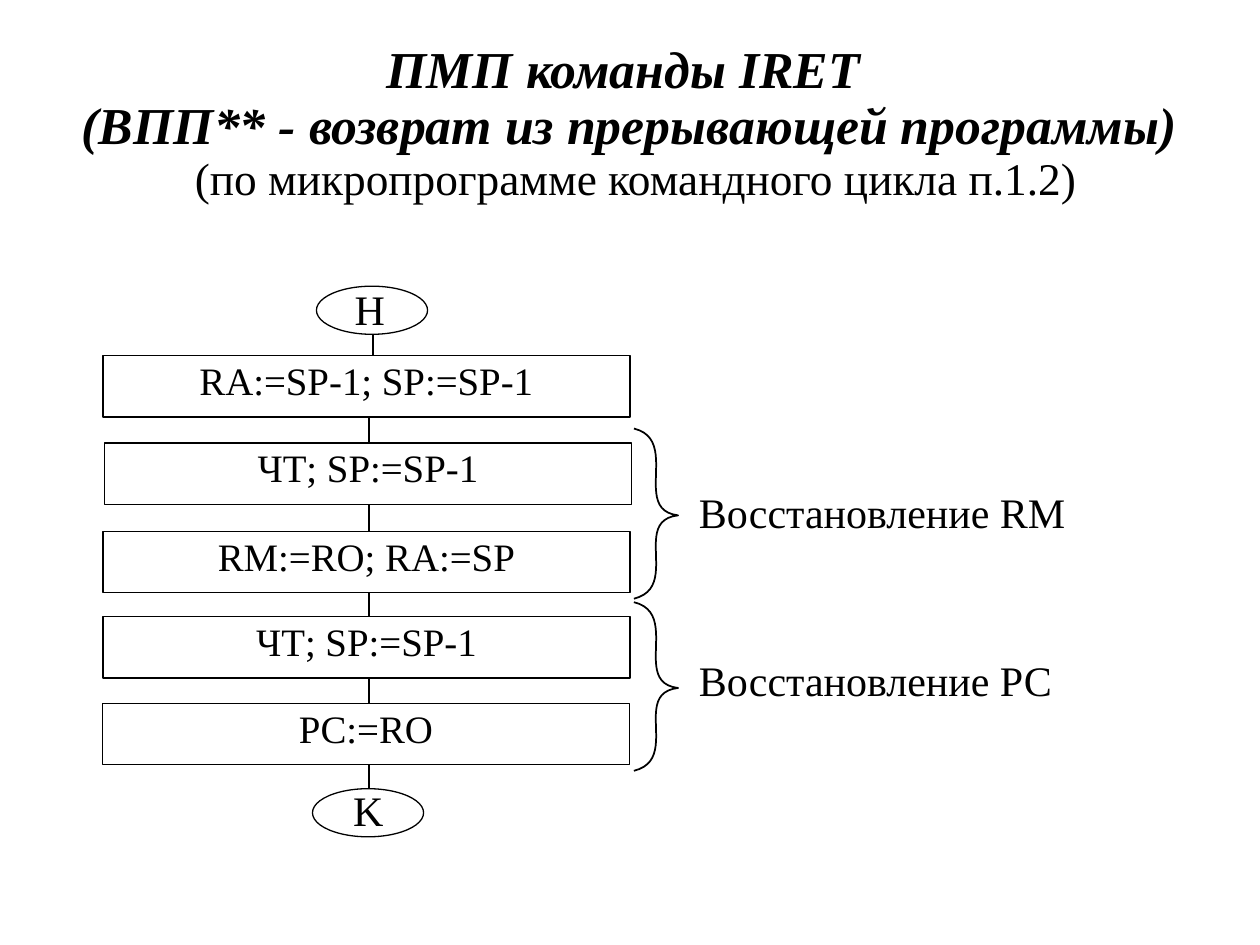
from itertools import pairwise

from lxml.etree import SubElement
from pptx import Presentation
from pptx.dml.color import RGBColor
from pptx.enum.shapes import MSO_CONNECTOR as Link, MSO_SHAPE as Kind
from pptx.enum.text import MSO_ANCHOR as Anchor, PP_ALIGN as Align
from pptx.oxml.ns import qn
from pptx.util import Cm, Pt

FONT = "Times New Roman"
BLACK = "000000"

# Each title line is a list of (text, format) spans.
STRONG = dict(size=29.6, bold=True, italic=True)
TITLE = [
    [("ПМП команды IRET ", STRONG)],
    [("(ВПП** - возврат из прерывающей программы)", STRONG)],
    [(" ", dict(size=25.9, bold=True, italic=True)),
     ("(по микропрограмме командного цикла п.1.2)", dict(size=25.9))],
]
# Text, ellipse left and top, label left and top
TERMINALS = [
    ("Н", (6.38, 5.77), (5.97, 5.59)),
    ("K", (6.3, 15.9), (5.94, 15.7)),
]
# Text, left, top
STEPS = [
    ("RA:=SP-1; SP:=SP-1", 2.08, 7.17),
    ("ЧТ; SP:=SP-1", 2.11, 8.93),
    ("RM:=RO; RA:=SP", 2.08, 10.71),
    ("ЧТ; SP:=SP-1", 2.08, 12.43),
    ("PC:=RO", 2.07, 14.18),
]
# Label, label top, brace top, tip and bottom
RESTORES = [
    ("Восстановление RM", 9.68, 8.64, 10.39, 12.07),
    ("Восстановление РС", 13.06, 12.14, 13.87, 15.54),
]
OVAL_WIDTH, OVAL_HEIGHT = 2.24, 0.97
STEP_WIDTH, STEP_HEIGHT = 10.62, 1.24
FIRST_LINK_X, LINK_X = 7.52, 7.44
BRACE_LEFT, BRACE_TIP = 12.78, 13.67
CURVE_STEPS = 24


def color(value):
    return RGBColor.from_string(value)


def write(box, lines, size=24, align=Align.CENTER, spacing=None, anchor=Anchor.TOP):
    """Write a string, or lines of (text, format) spans, as one paragraph."""
    frame = box.text_frame
    frame.word_wrap = True
    frame.vertical_anchor = anchor
    para = frame.paragraphs[0]
    para.alignment = align
    if spacing:
        para.line_spacing = spacing
    if isinstance(lines, str):
        lines = [[(lines, dict(size=size))]]
    for number, line in enumerate(lines):
        if number:
            para.add_line_break()
        for text, style in line:
            span = para.add_run()
            span.text = text
            font = span.font
            font.name = FONT
            font.size = Pt(style["size"])
            font.bold = style.get("bold", False)
            font.italic = style.get("italic", False)
            font.color.rgb = color(BLACK)


def add_text(page, left, top, width, height, lines, **style):
    box = page.shapes.add_textbox(Cm(left), Cm(top), Cm(width), Cm(height))
    write(box, lines, **style)


def outline(shape, width=0.75):
    shape.shadow.inherit = False
    shape.fill.background()
    shape.line.color.rgb = color(BLACK)
    shape.line.width = Pt(width)


def add_outlined(page, kind, left, top, width, height):
    shape = page.shapes.add_shape(kind, Cm(left), Cm(top), Cm(width), Cm(height))
    outline(shape)
    return shape


def add_link(page, x, top, bottom):
    link = page.shapes.add_connector(Link.STRAIGHT, Cm(x), Cm(top), Cm(x), Cm(bottom))
    link.line.color.rgb = color(BLACK)
    link.line.width = Pt(0.75)
    SubElement(link._element.spPr, qn("a:effectLst"))


def half_brace(tip, end):
    """Points of a cubic curve from the brace tip to one of its ends."""
    side = 1 if end > tip else -1
    controls = [(BRACE_TIP, tip), (12.73, tip + side * 0.11),
                (13.72, end - side * 0.23), (BRACE_LEFT, end)]
    points = []
    for step in range(CURVE_STEPS + 1):
        t = step / CURVE_STEPS
        weights = ((1 - t) ** 3, 3 * t * (1 - t) ** 2, 3 * t * t * (1 - t), t ** 3)
        points.append(tuple(
            Cm(sum(w * c[axis] for w, c in zip(weights, controls))) for axis in (0, 1)))
    return points


def add_brace(page, top, tip, bottom):
    points = half_brace(tip, top)[::-1] + half_brace(tip, bottom)[1:]
    builder = page.shapes.build_freeform(*points[0])
    builder.add_line_segments(points[1:], close=False)
    outline(builder.convert_to_shape(), width=1)


def main():
    deck = Presentation()
    deck.slide_width, deck.slide_height = Cm(25.4), Cm(19.05)
    page = deck.slides.add_slide(deck.slide_layouts[6])

    for text, oval, label in TERMINALS:
        add_outlined(page, Kind.OVAL, *oval, OVAL_WIDTH, OVAL_HEIGHT)
        add_text(page, *label, 2.97, 1.32, text)

    for text, left, top in STEPS:
        step = add_outlined(page, Kind.RECTANGLE, left, top, STEP_WIDTH, STEP_HEIGHT)
        write(step, text, size=22.2, spacing=0.9)

    tops = [top for _, _, top in STEPS]
    (_, (_, start_top), _), (_, (_, end_top), _) = TERMINALS
    add_link(page, FIRST_LINK_X, start_top + OVAL_HEIGHT, tops[0])
    for upper, lower in pairwise(tops + [end_top]):
        add_link(page, LINK_X, upper + STEP_HEIGHT, lower)

    for text, label_top, *brace in RESTORES:
        add_brace(page, *brace)
        add_text(page, 13.84, label_top, 10.3, 1.27, text, align=Align.LEFT)

    add_text(page, 0.5, 0.4, 24.4, 4.22, TITLE, spacing=0.9, anchor=Anchor.MIDDLE)
    deck.save("out.pptx")


if __name__ == "__main__":
    main()
